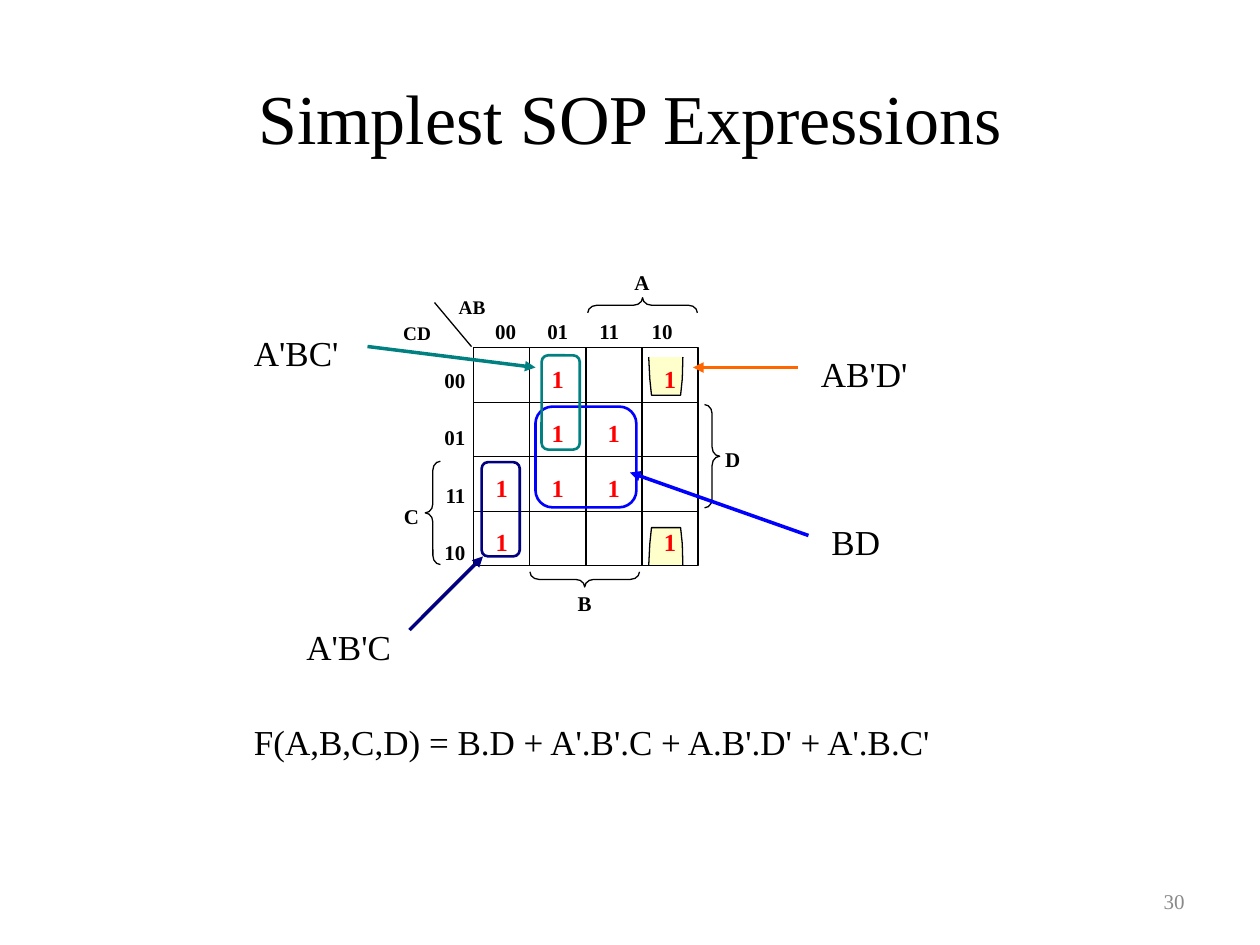
"""Build a Karnaugh map slide with its simplest sum of products."""
from dataclasses import dataclass
from typing import NamedTuple

from lxml import etree
from pptx import Presentation, util as u
from pptx.dml.color import RGBColor
from pptx.enum import shapes as s, text as t
from pptx.oxml.ns import qn

FONT = "Times New Roman"
BLACK, RED, GREY, CREAM = "000000", "FF0000", "898989", "FFFF99"
BLUE, NAVY, TEAL, ORANGE = "0000FF", "000080", "008080", "FF6600"
LEFT, MID, RIGHT = t.PP_ALIGN.LEFT, t.PP_ALIGN.CENTER, t.PP_ALIGN.RIGHT
TOP, CORE = t.MSO_ANCHOR.TOP, t.MSO_ANCHOR.MIDDLE


class Box(NamedTuple):
    col: float
    row: float
    wide: float
    high: float


@dataclass(frozen=True)
class Grid:
    left: float
    top: float
    wide: float
    high: float

    def at(self, col: float, row: float) -> tuple:
        """Turn a column and row into a point."""
        return u.Inches(self.left + col * self.wide), u.Inches(self.top + row * self.high)

    def area(self, box: Box) -> tuple:
        """Turn a box of cells into left, top, width and height."""
        return *self.at(box.col, box.row), u.Inches(box.wide * self.wide), u.Inches(box.high * self.high)


class Loop(NamedTuple):
    box: Box
    hue: str


class Brace(NamedTuple):
    col: float
    row: float
    size: float
    turn: int


class Label(NamedTuple):
    text: str
    col: float
    row: float
    size: int = 12


class Term(NamedTuple):
    text: str
    box: Box
    start: tuple
    end: tuple
    hue: str


PAGE = Grid(0, 0, 1 / 12, 1 / 12)
MAP = Grid(3.76, 2.76, 0.445, 0.4325)
ONES = [(1, 0), (3, 0), (1, 1), (2, 1), (0, 2), (1, 2), (2, 2), (0, 3), (3, 3)]
LOOPS = [
    Loop(Box(1.1, 1.08, 1.8, 1.85), BLUE),
    Loop(Box(0.14, 2.1, 0.68, 1.73), NAVY),
    Loop(Box(1.21, 0.14, 0.68, 1.73), TEAL),
]
BRACES = [
    Brace(-0.73, 3.03, 0.82, 0),
    Brace(3.01, -0.78, 0.87, 90),
    Brace(4.25, 1.99, 0.82, 180),
    Brace(1.98, 4.25, 0.87, 270),
]
LABELS = [
    Label("A", 3, -1.2), Label("B", 1.98, 4.69), Label("C", -1.11, 3.08),
    Label("D", 4.62, 2.05), Label("CD", -1.01, -0.28, 11), Label("AB", -0.03, -0.75, 11),
]
TERMS = [
    Term("BD", Box(78, 49, 9, 5.25), (77, 51), (60, 45), BLUE),
    Term("AB'D'", Box(77, 33, 11, 5.25), (76, 35), (66, 35), ORANGE),
    Term("A'BC'", Box(23, 31, 11, 5.25), (35, 33), (51, 35), TEAL),
    Term("A'B'C", Box(28, 59, 11, 5.25), (39, 60), (46, 53), NAVY),
]


def rgb(hue: str) -> RGBColor:
    """Make a colour from a hex string."""
    return RGBColor.from_string(hue)


def write(slide, grid: Grid, box: Box, words: str, size: float, hue: str = BLACK,
          bold: bool = False, align=LEFT, anchor=TOP, gap: float = 0):
    """Add a text box and return its frame."""
    frame = slide.shapes.add_textbox(*grid.area(box)).text_frame
    frame.word_wrap, frame.vertical_anchor, frame.text = True, anchor, words
    for para in frame.paragraphs:
        para.alignment, para.space_after = align, u.Pt(gap)
        font = para.font
        font.name, font.size, font.bold = FONT, u.Pt(size), bold
        font.color.rgb = rgb(hue)
    return frame


def style(shape, hue: str = BLACK, width: float = 0.75):
    """Give a shape a plain outline without fill or shadow."""
    shape.shadow.inherit = False
    shape.fill.background()
    shape.line.color.rgb, shape.line.width = rgb(hue), u.Pt(width)
    return shape


def rule(slide, grid: Grid, start: tuple, end: tuple, hue: str = BLACK,
         width: float = 0.75, arrow: bool = False):
    """Draw a straight line, with an arrowhead at its end on request."""
    line = slide.shapes.add_connector(s.MSO_CONNECTOR.STRAIGHT, *grid.at(*start), *grid.at(*end))
    line.line.color.rgb, line.line.width = rgb(hue), u.Pt(width)
    props = line._element.spPr
    if arrow:
        etree.SubElement(props.find(qn("a:ln")), qn("a:tailEnd"), type="triangle")
    etree.SubElement(props, qn("a:effectLst"))
    return line


def cup(slide, edge: float, way: int) -> None:
    """Draw half a loop that is open at a map edge."""
    spots = [(3.73, 0), (3.72, 0.4), (3.69, 0.7), (3.17, 0.7), (3.14, 0.4), (3.12, 0)]
    pts = [MAP.at(col, edge + way * row) for col, row in spots]
    pen = slide.shapes.build_freeform(*pts[0])
    pen.add_line_segments(pts[1:], close=False)
    half = style(pen.convert_to_shape())
    half.fill.solid()
    half.fill.fore_color.rgb = rgb(CREAM)
    tint = half._element.spPr.find(qn("a:solidFill"))[0]
    etree.SubElement(tint, qn("a:alpha"), val="50000")


def table(slide) -> None:
    """Draw the map's frame and inner lines."""
    frame = style(slide.shapes.add_shape(s.MSO_SHAPE.RECTANGLE, *MAP.area(Box(0, 0, 4, 4))))
    for i in range(1, 4):
        for start, end, sides in (((i, 0), (i, 4), (0, 2)), ((0, i), (4, i), (1, 3))):
            line = rule(slide, MAP, start, end)
            if i == 2:
                line.begin_connect(frame, sides[0])
                line.end_connect(frame, sides[1])


def heads(slide) -> None:
    """Write the column and row codes."""
    codes = ["00", "01", "11", "10"]
    top = write(slide, MAP, Box(0.16, -0.65, 3.73, 0.8), "\t".join(codes), 12, bold=True)
    props = top.paragraphs[0]._p.get_or_add_pPr()
    tabs = etree.Element(qn("a:tabLst"))
    for i in range(1, 4):
        etree.SubElement(tabs, qn("a:tab"), pos=str(u.Inches(0.414 * i)), algn="l")
    props.find(qn("a:defRPr")).addprevious(tabs)
    write(slide, MAP, Box(-0.81, 0.25, 0.88, 4.1), "\n".join(codes), 12,
          bold=True, align=RIGHT, gap=18.3)


def brace(slide, item: Brace) -> None:
    """Draw a brace turned about its centre."""
    x, y = MAP.at(item.col, item.row)
    wide, high = u.Inches(0.12), u.Inches(item.size)
    shape = style(slide.shapes.add_shape(
        s.MSO_SHAPE.LEFT_BRACE, x - wide // 2, y - high // 2, wide, high))
    shape.adjustments[0], shape.rotation = 0.6, item.turn


def main() -> None:
    """Build and save the slide."""
    deck = Presentation()
    deck.slide_width, deck.slide_height = u.Inches(10), u.Inches(7.5)
    slide = deck.slides.add_slide(deck.slide_layouts[6])
    write(slide, PAGE, Box(6, 3.6, 108, 15), "Simplest SOP Expressions", 40, align=MID, anchor=CORE)
    write(slide, PAGE, Box(86, 83.4, 28, 4.8), "30", 12, GREY, align=RIGHT, anchor=CORE)
    cup(slide, 4, -1)
    cup(slide, 0.17, 1)
    table(slide)
    heads(slide)
    rule(slide, MAP, (-0.7, -0.83), (-0.04, -0.02))
    for item in BRACES:
        brace(slide, item)
    for tag in LABELS:
        write(slide, MAP, Box(tag.col - 0.6, tag.row - 0.4, 1.2, 0.8), tag.text, tag.size,
              bold=True, align=MID, anchor=CORE)
    for col, row in ONES:
        write(slide, MAP, Box(col, row + 0.18, 1, 0.8), "1", 14, RED, True, MID)
    for loop in LOOPS:
        shape = slide.shapes.add_shape(s.MSO_SHAPE.ROUNDED_RECTANGLE, *MAP.area(loop.box))
        style(shape, loop.hue, 1.5).adjustments[0] = 0.17
    for term in TERMS:
        rule(slide, PAGE, term.start, term.end, term.hue, 2, True)
        write(slide, PAGE, term.box, term.text, 20)
    write(slide, PAGE, Box(23, 68, 69, 5.25), "F(A,B,C,D) = B.D + A'.B'.C + A.B'.D' + A'.B.C'", 20)
    deck.save("out.pptx")


if __name__ == "__main__":
    main()
